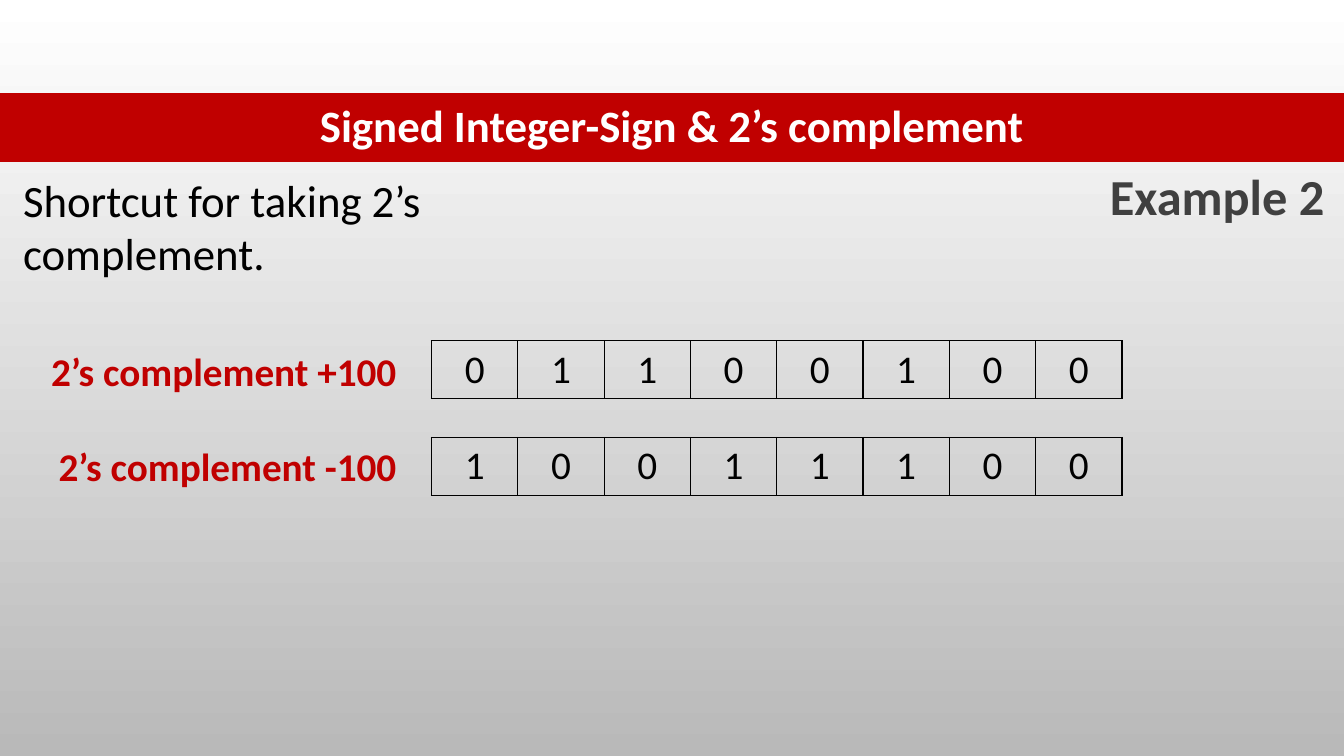
from lxml import etree
from pptx import Presentation
from pptx.dml.color import RGBColor
from pptx.enum import text
from pptx.oxml import parse_xml
from pptx.oxml.ns import nsdecls, qn
from pptx.util import Inches, Pt

RED, BLACK = "C00000", "000000"
LEFT, CENTER, RIGHT = text.PP_ALIGN.LEFT, text.PP_ALIGN.CENTER, text.PP_ALIGN.RIGHT
NO_STYLE = "{2D5ABB26-0587-4C30-8999-92F81FD0307C}"


def write(tf, content, size, color, bold=False, align=LEFT):
    p = tf.paragraphs[0]
    p.alignment = align
    r = p.add_run()
    r.text = content
    r.font.name = "Calibri"
    r.font.size = Pt(size)
    r.font.bold = bold
    r.font.color.rgb = RGBColor.from_string(color)


def add_row(left, top, width, height, values, size, color, bold=False, fill=None, border=None):
    """Add a one-row table of centred values, with equal columns."""
    frame = s.shapes.add_table(1, len(values), Inches(left), Inches(top),
                               Inches(width), Inches(height))
    table = frame.table
    table.first_row = table.horz_banding = False
    table._tbl.tblPr.find(qn("a:tableStyleId")).text = NO_STYLE
    for cell, value in zip(table.rows[0].cells, values):
        cell.vertical_anchor = text.MSO_ANCHOR.MIDDLE
        write(cell.text_frame, value, size, color, bold, CENTER)
        if border:
            for side in ("lnL", "lnR", "lnT", "lnB"):
                cell._tc.get_or_add_tcPr().append(parse_xml(
                    f'<a:{side} {nsdecls("a")} w="12700"><a:solidFill>'
                    f'<a:srgbClr val="{border}"/></a:solidFill></a:{side}>'))
        if fill:
            cell.fill.solid()
            cell.fill.fore_color.rgb = RGBColor.from_string(fill)
        else:
            cell.fill.background()


prs = Presentation()
prs.slide_width, prs.slide_height = Inches(13.33), Inches(7.5)
s = prs.slides.add_slide(prs.slide_layouts[6])

bg = s.background.fill
bg.gradient()
bg.gradient_angle = 270
for stop, position, color in zip(bg.gradient_stops, (0, 1), ("FFFFFF", "B9B9B9")):
    stop.position = position
    stop.color.rgb = RGBColor.from_string(color)

add_row(0, 0.92, 13.33, 0.69, ["Signed Integer-Sign & 2’s complement"], 32, "FFFFFF",
        bold=True, fill=RED)
for top, bits in ((3.38, "01100100"), (4.34, "10011100")):
    add_row(4.28, top, 6.85, 0.57, bits, 28, BLACK, border=BLACK)

labels = [
    (0.13, 1.66, 6.55, 0.64, True, "Shortcut for taking 2’s complement.", 32, BLACK, False, LEFT),
    (10.91, 1.59, 2.42, 0.71, False, "Example 2", 36, "404040", True, LEFT),
    (0.3, 3.4, 3.73, 0.57, False, "2’s complement +100", 28, RED, True, RIGHT),
    (0.3, 4.34, 3.73, 0.57, False, "2’s complement -100", 28, RED, True, RIGHT),
]
for left, top, width, height, wrap, *content in labels:
    tf = s.shapes.add_textbox(Inches(left), Inches(top), Inches(width), Inches(height)).text_frame
    tf.word_wrap = wrap
    write(tf, *content)

prs.save("out.pptx")
